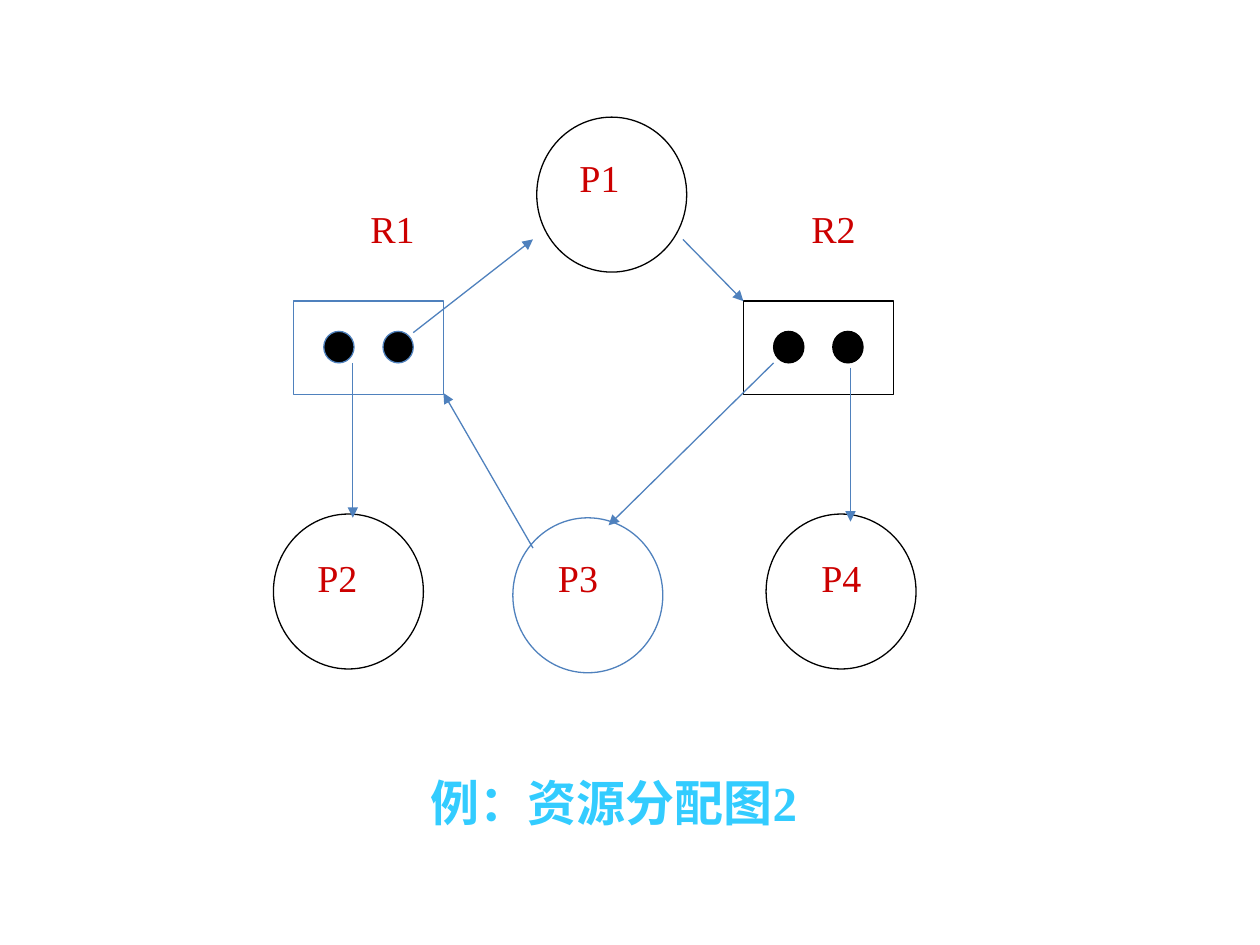
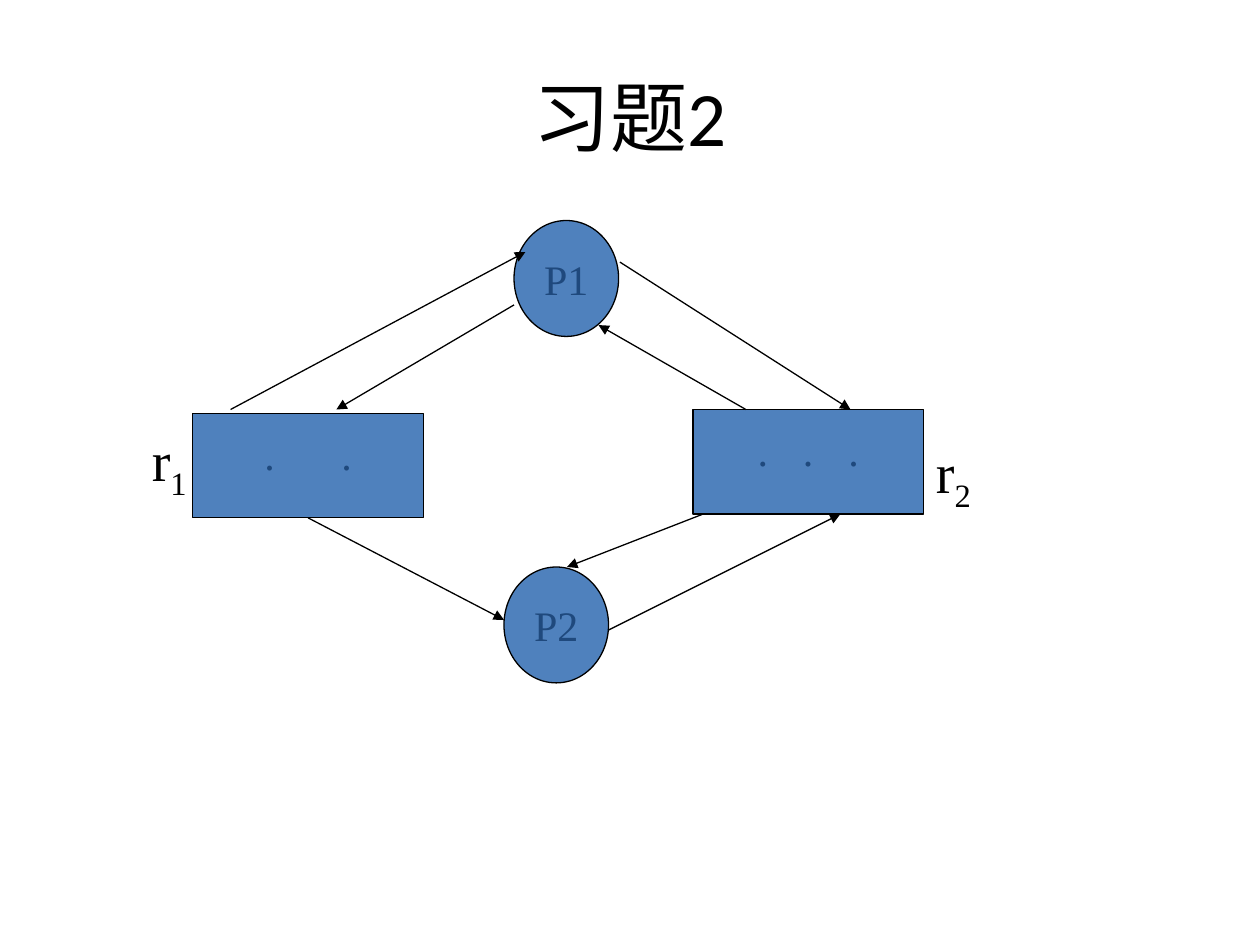
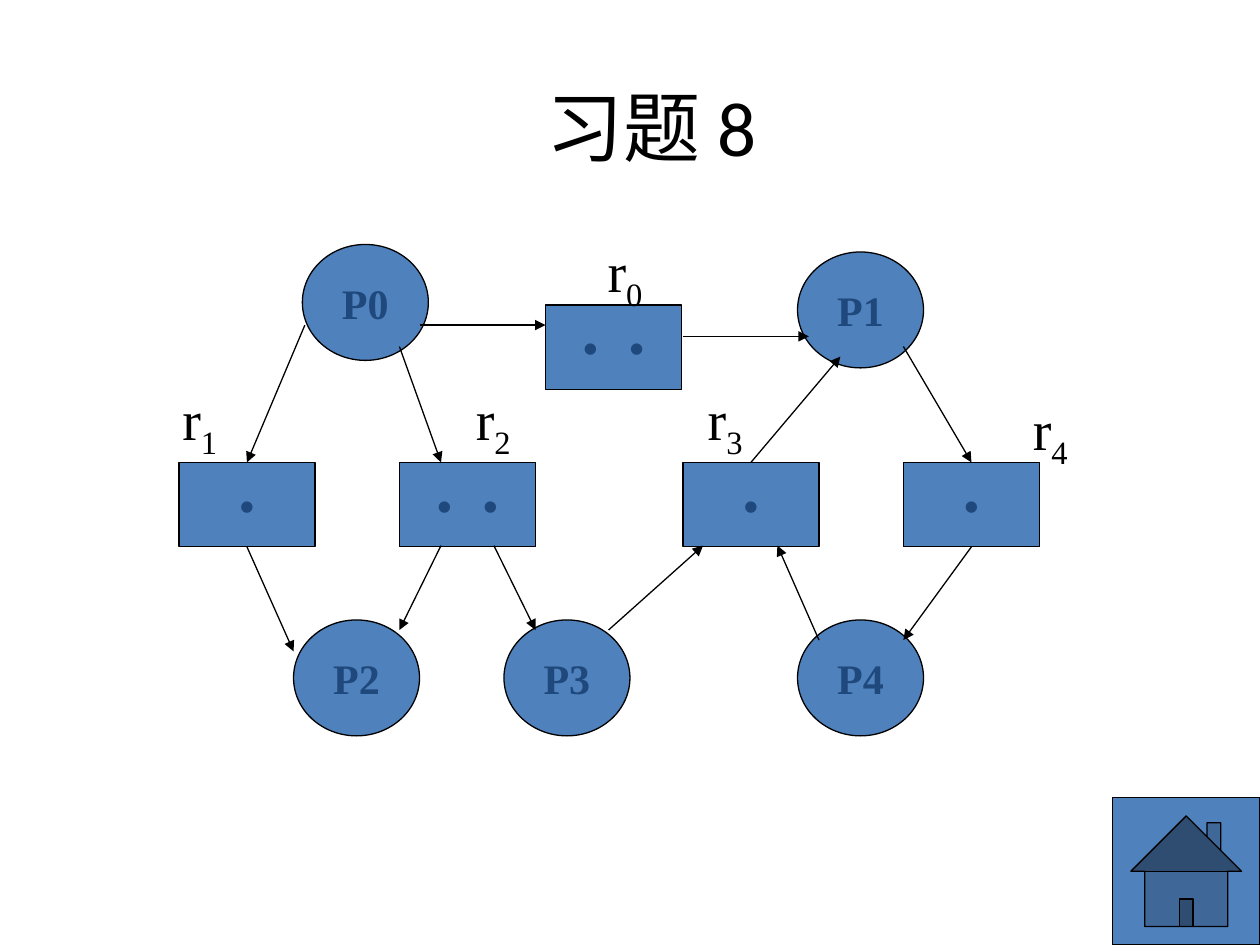
from pptx import Presentation
from pptx.dml.color import RGBColor
from pptx.enum.shapes import MSO_CONNECTOR, MSO_SHAPE
from pptx.enum.text import MSO_ANCHOR, MSO_AUTO_SIZE, PP_ALIGN as AL
from pptx.oxml.ns import qn
from pptx.util import Inches, Pt
from lxml.etree import SubElement

COLORS = {
    "white": "FFFFFF", "black": "000000", "blue": "4F81BD",
    "navy": "1F497D", "red": "CC0000", "cyan": "33CCFF",
}
SERIF, SANS = "Times New Roman", "Calibri"


def rgb(name):
    return RGBColor.from_string(COLORS[name])


def write(sp, text, size=24, font=SERIF, color="black", bold=False, align=AL.CENTER,
          anchor=MSO_ANCHOR.TOP, wrap=True, grow=False, before=None, spacing=None):
    """Fill a shape with one paragraph; text is a string or (text, run attributes) pairs."""
    tf = sp.text_frame
    tf.word_wrap = wrap
    tf.vertical_anchor = anchor
    tf.auto_size = MSO_AUTO_SIZE.SHAPE_TO_FIT_TEXT if grow else MSO_AUTO_SIZE.NONE
    p = tf.paragraphs[0]
    p.alignment = align
    if before:
        p.space_before = Pt(before)
    if spacing:
        p.line_spacing = spacing
    for part, attrs in [(text, {})] if isinstance(text, str) else text:
        r = p.add_run()
        r.text = part
        r.font.size, r.font.name, r.font.bold = Pt(size), font, bold
        r.font.color.rgb = rgb(color)
        for key, value in attrs.items():
            r._r.get_or_add_rPr().set(key, value)


class Deck:
    def __init__(self):
        self.prs = Presentation()
        self.prs.slide_width, self.prs.slide_height = Inches(10), Inches(7.5)
        self.s = None
        self.bold = False

    def new_slide(self, bold=False):
        self.s = self.prs.slides.add_slide(self.prs.slide_layouts[6])
        self.bold = bold

    def shape(self, kind, x, y, w, h, fill="blue", line="black"):
        sp = self.s.shapes.add_shape(kind, Inches(x), Inches(y), Inches(w), Inches(h))
        sp.shadow.inherit = False
        sp.fill.solid()
        sp.fill.fore_color.rgb = rgb(fill)
        sp.line.color.rgb = rgb(line)
        sp.line.width = Pt(0.75)
        return sp

    def text(self, x, y, w, h, text, **fmt):
        write(self.s.shapes.add_textbox(Inches(x), Inches(y), Inches(w), Inches(h)),
              text, **fmt)

    def title(self, x, y, w, h, text):
        self.text(x, y, w, h, text, size=44, font=SANS, anchor=MSO_ANCHOR.MIDDLE)

    def tag(self, x, y, w, text, align=AL.LEFT):
        """Red name on a white plate."""
        sp = self.shape(MSO_SHAPE.RECTANGLE, x, y, w, 0.49, "white", "white")
        write(sp, text, size=21.7, color="red", align=align, spacing=0.8)

    def node(self, kind, x, y, w, h, text):
        sp = self.shape(kind, x, y, w, h)
        write(sp, text, color="navy", bold=self.bold, anchor=MSO_ANCHOR.MIDDLE, wrap=False)
        return sp

    def process(self, x, y, w, name):
        return self.node(MSO_SHAPE.OVAL, x, y, w, 0.92, name)

    def resource(self, x, y, w, h, dot, count, gap="1200"):
        """Box with one dot per unit; gap is the extra spacing between dots."""
        units = [(dot, {})] + [(" ", {"spc": gap}), (dot, {})] * (count - 1)
        return self.node(MSO_SHAPE.RECTANGLE, x, y, w, h, units)

    def resource_name(self, x, y, w, index, align=AL.CENTER):
        self.text(x, y, w, 0.71, [("r", {}), (index, {"baseline": "-25000"})],
                  size=32, align=align, grow=True, before=20)

    def unit_box(self, x, line):
        """Grouped outline box holding two round units."""
        box = self.shape(MSO_SHAPE.RECTANGLE, x, 2.39, 1.19, 0.74, "white", line)
        units = [self.shape(MSO_SHAPE.OVAL, x + dx, 2.63, 0.24, 0.25, "black", line)
                 for dx in (0.24, 0.71)]
        self.s.shapes.add_group_shape([box, *units])

    def arrow(self, start, end, color="black"):
        """Each end is an (x, y) point; one of them may be a (shape, side) pair."""
        joined = [not isinstance(pt[0], (int, float)) for pt in (start, end)]
        x1, y1 = end if joined[0] else start
        x2, y2 = start if joined[1] else end
        c = self.s.shapes.add_connector(MSO_CONNECTOR.STRAIGHT, Inches(x1), Inches(y1),
                                        Inches(x2), Inches(y2))
        if joined[0]:
            c.begin_connect(*start)
        if joined[1]:
            c.end_connect(*end)
        c.line.color.rgb = rgb(color)
        c.line.width = Pt(0.75)
        SubElement(c.line._get_or_add_ln(), qn("a:tailEnd"), type="triangle")
        SubElement(c._element.spPr, qn("a:effectLst"))


TOP, BOTTOM = 0, 2


def allocation_example(d):
    d.new_slide()
    # Resource names
    for x, name in [(2.64, "R1"), (6.14, "R2")]:
        d.tag(x, 1.65, 0.95, name, AL.CENTER)
    # Processes
    for x, y, line, tag_x, tag_y, name in [
            (2.17, 4.08, "black", 2.42, 4.42, "P2"), (4.07, 4.11, "blue", 4.33, 4.42, "P3"),
            (6.08, 4.08, "black", 6.42, 4.42, "P4"), (4.26, 0.93, "black", 4.5, 1.25, "P1")]:
        d.shape(MSO_SHAPE.OVAL, x, y, 1.19, 1.23, "white", line)
        d.tag(tag_x, tag_y, 0.72, name)
    # Resources
    d.unit_box(5.9, "black")
    d.unit_box(2.33, "blue")
    # Requests and assignments
    for start, end in [((3.28, 2.64), (4.23, 1.9)), ((5.42, 1.9), (5.9, 2.39)),
                       ((6.75, 2.92), (6.75, 4.14)), ((6.14, 2.88), (4.83, 4.17)),
                       ((4.23, 4.35), (3.52, 3.12)), ((2.8, 2.88), (2.8, 4.11))]:
        d.arrow(start, end, "blue")
    # Caption
    d.text(1.58, 6.08, 6.58, 0.57, "例：资源分配图2", size=28, color="cyan", bold=True,
           grow=True, before=17.5)


def exercise_2(d):
    d.new_slide()
    d.title(0.75, 0.33, 8.5, 1.17, "习题2")
    # Resources and processes
    r1 = d.resource(1.53, 3.28, 1.83, 0.83, "·", 2, gap="3000")
    d.resource(5.5, 3.25, 1.83, 0.83, "·", 3)
    d.process(4.08, 1.75, 0.83, "P1")
    d.process(4, 4.5, 0.83, "P2")
    d.resource_name(0.75, 3.33, 0.83, "1", AL.RIGHT)
    d.resource_name(7.33, 3.42, 0.83, "2", AL.LEFT)
    # Requests and assignments
    for start, end in [((1.83, 3.25), (4.17, 2)), ((4.08, 2.42), (2.67, 3.25)),
                       ((r1, BOTTOM), (4, 4.92)), ((5.58, 4.08), (4.5, 4.5)),
                       ((4.83, 5), (6.67, 4.08)), ((5.92, 3.25), (4.75, 2.58)),
                       ((4.92, 2.08), (6.75, 3.25))]:
        d.arrow(start, end)


def exercise_8(d):
    d.new_slide(bold=True)
    d.title(0.92, 0.58, 8.5, 0.83, "习题 8")
    # Resources
    r1, r2, r3, r4, r0 = [
        d.resource(x, y, 1.08, 0.67, "•", count)
        for x, y, count in [(1.42, 3.67, 1), (3.17, 3.67, 2), (5.42, 3.67, 1),
                            (7.17, 3.67, 1), (4.33, 2.42, 2)]]
    # Processes
    for x, y, name in [(2.4, 1.94, "P0"), (2.33, 4.92, "P2"), (4, 4.92, "P3"),
                       (6.33, 2, "P1"), (6.33, 4.92, "P4")]:
        d.process(x, y, 1, name)
    # Resource names
    for x, y, w, index in [(4.42, 1.83, 1.08, "0"), (1.25, 3, 0.67, "1"),
                           (3.58, 3, 0.67, "2"), (5.42, 3, 0.67, "3"), (8, 3.08, 0.67, "4")]:
        d.resource_name(x, y, w, index)
    # Requests and assignments
    for start, end in [((2.42, 2.58), (r1, TOP)), ((3.17, 2.75), (3.5, 3.67)),
                       ((3.33, 2.58), (4.33, 2.58)), ((5.42, 2.67), (6.42, 2.67)),
                       ((r1, BOTTOM), (2.33, 5.17)), ((3.5, 4.33), (3.17, 5)),
                       ((3.92, 4.33), (4.25, 5)), ((4.83, 5), (5.58, 4.33)),
                       ((6.5, 5.08), (6.17, 4.33)), ((r3, TOP), (6.67, 2.83)),
                       ((7.17, 2.75), (r4, TOP)), ((r4, BOTTOM), (7.17, 5.08))]:
        d.arrow(start, end)
    # Home button
    d.shape(MSO_SHAPE.ACTION_BUTTON_HOME, 8.83, 6.33, 1.17, 1.17)


def main():
    d = Deck()
    allocation_example(d)
    exercise_2(d)
    exercise_8(d)
    d.prs.save("out.pptx")


if __name__ == "__main__":
    main()
